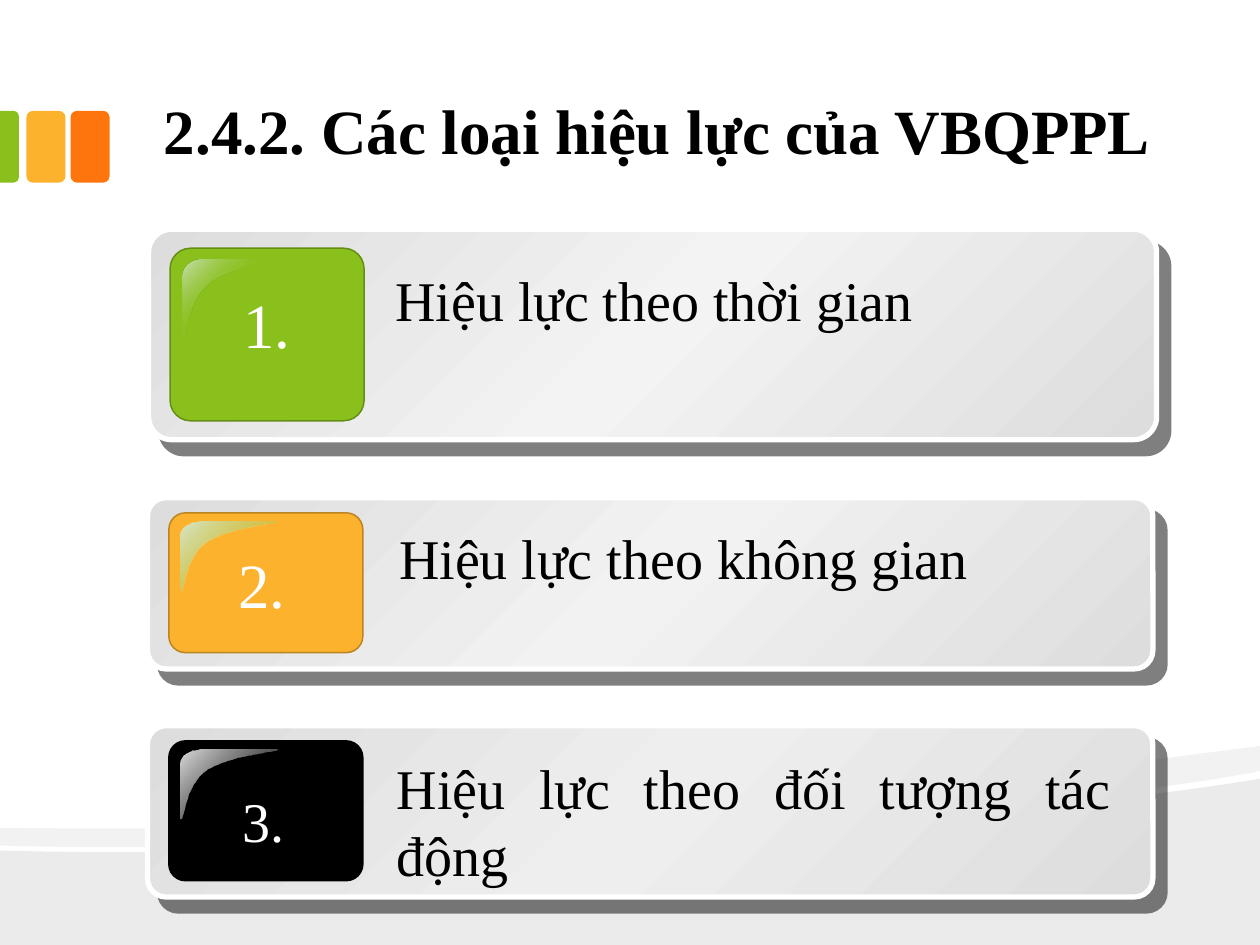
"""Build a slide listing three kinds of legal effect as numbered cards."""
from lxml import etree
from pptx import Presentation
from pptx import util as u
from pptx.dml.color import RGBColor
from pptx.enum import shapes, text
from pptx.oxml.ns import qn

FONT = "Times New Roman"
TITLE = "2.4.2. Các loại hiệu lực của VBQPPL"
LEFT, JUSTIFY, CENTER = text.PP_ALIGN.LEFT, text.PP_ALIGN.JUSTIFY, text.PP_ALIGN.CENTER
ROUND = shapes.MSO_SHAPE.ROUNDED_RECTANGLE

CARDS = [
    {"card": (1.18, 1.82, 8, 1.67), "middle": "F3F3F3",
     "badge": (1.35, 1.97, 1.54, 1.37), "fill": "89C01C", "line": "658E15",
     "gloss": (1.45, 2.06, 0.76, 0.68),
     "shine": [(0, "CAE0B6", 100), (50, "89C01C", 0), (100, "CAE0B6", 100)],
     "number": ("1.", 36, (1.83, 2.22, 0.58, 0.71)),
     "label": ("Hiệu lực theo thời gian", LEFT, (3.04, 2.06, 5.88, 0.64))},
    {"card": (1.17, 3.95, 7.98, 1.36), "middle": "F2F2F2",
     "badge": (1.34, 4.07, 1.54, 1.11), "fill": "FCB22C", "line": "BA8421",
     "gloss": (1.43, 4.14, 0.77, 0.56),
     "shine": [(0, "D7E7C9", 100), (100, "89C01C", 0)],
     "number": ("2.", 36, (1.79, 4.28, 0.58, 0.71)),
     "label": ("Hiệu lực theo không gian", JUSTIFY, (3.07, 4.11, 6.08, 0.64))},
    {"card": (1.17, 5.76, 7.98, 1.36), "middle": "EEEEEE",
     "badge": (1.34, 5.88, 1.54, 1.11), "fill": "000000", "line": "000000",
     "gloss": (1.43, 5.95, 0.77, 0.56),
     "shine": [(0, "DADADA", 100), (100, "A6A6A6", 0)],
     "number": ("3.", 32, (1.82, 6.19, 0.54, 0.64)),
     "label": ("Hiệu lực theo đối tượng tác động", JUSTIFY, (3.05, 5.93, 5.87, 1.18))},
]

WAVES = [
    (8, [[(10, 6.18)], [(10, 7.5)], [(0, 7.5)], [(0, 6.75)],
         [(2.64, 6.83), (7.82, 6.55), (10, 6.18)]]),
    (5, [[(10, 5.92)], [(10, 6.12)], [(9.42, 6.23), (8.62, 6.33), (7.72, 6.41)],
         [(5.23, 6.63), (1.93, 6.77), (0, 6.71)], [(0, 6.57)],
         [(4.89, 6.62), (7.28, 6.27), (10, 5.92)]]),
]
GLOSS = [[(0.2, 0)], [(0.09, 0), (0, 0.09), (0, 0.2)], [(0, 0.98)],
         [(0.05, 1), (0.03, 0.52), (0.27, 0.29)],
         [(0.52, 0.07), (1, 0.05), (1, 0)]]
TABS = [
    (ROUND, (0.56, 0.88, 0.31, 0.57), 0, "FE750E", [0.167]),
    (ROUND, (0.21, 0.88, 0.31, 0.57), 0, "FCB22C", [0.167]),
    (shapes.MSO_SHAPE.ROUND_2_SAME_RECTANGLE, (-0.21, 1.09, 0.57, 0.15), 90,
     "89C01C", [0.292, 0]),
]


def rgb(value):
    return RGBColor.from_string(value)


def inches(values):
    return [u.Inches(value) for value in values]


def add_color(parent, value, opacity):
    color = etree.SubElement(parent, qn("a:srgbClr"), val=value)
    if opacity < 100:
        etree.SubElement(color, qn("a:alpha"), val=str(opacity * 1000))


def solid(shape, value, opacity=100):
    shape.fill.solid()
    shape.fill.fore_color.rgb = rgb(value)
    if opacity < 100:
        color = shape._element.spPr.find(".//" + qn("a:srgbClr"))
        etree.SubElement(color, qn("a:alpha"), val=str(opacity * 1000))


def gradient(shape, stops):
    shape.fill.gradient()
    shape.fill.gradient_angle = 315
    stop_list = shape._element.spPr.find(".//" + qn("a:gsLst"))
    for old_stop in list(stop_list):
        stop_list.remove(old_stop)
    for position, value, opacity in stops:
        stop = etree.SubElement(stop_list, qn("a:gs"), pos=str(position * 1000))
        add_color(stop, value, opacity)


def outline(shape, value=None, width=0):
    shape.shadow.inherit = False
    if value is None:
        shape.line.fill.background()
    else:
        shape.line.color.rgb = rgb(value)
        shape.line.width = u.Pt(width)


def cast_shadow(shape):
    effects = shape._element.spPr.find(qn("a:effectLst"))
    shadow = etree.SubElement(effects, qn("a:outerShdw"), dist=str(u.Pt(10.6)),
                              dir=str(49 * 60000), algn="ctr", rotWithShape="0")
    add_color(shadow, "000000", 50)


def add_preset(slide, kind, box, adjustments):
    shape = slide.shapes.add_shape(kind, *inches(box))
    for index, value in enumerate(adjustments):
        shape.adjustments[index] = value
    return shape


def add_curve(slide, segments, box=(0, 0, 1, 1)):
    left, top, width, height = box
    placed = [[inches((left + x * width, top + y * height)) for x, y in segment]
              for segment in segments]
    builder = slide.shapes.build_freeform(*placed[0][0])
    builder.add_line_segments([segment[-1] for segment in placed[1:]], close=True)
    shape = builder.convert_to_shape()
    lines = shape._element.spPr.findall(".//" + qn("a:lnTo"))
    for line, segment in zip(lines, placed[1:]):
        if len(segment) == 3:
            curve = etree.Element(qn("a:cubicBezTo"))
            for x, y in segment:
                etree.SubElement(curve, qn("a:pt"), x=str(x - shape.left), y=str(y - shape.top))
            line.getparent().replace(line, curve)
    outline(shape)
    return shape


def add_text(slide, box, words, size, align, color="000000", bold=False, wrap=True):
    shape = slide.shapes.add_textbox(*inches(box))
    frame = shape.text_frame
    frame.word_wrap = wrap
    frame.auto_size = text.MSO_AUTO_SIZE.SHAPE_TO_FIT_TEXT
    paragraph = frame.paragraphs[0]
    paragraph.alignment = align
    run = paragraph.add_run()
    run.text = words
    run.font.name = FONT
    run.font.size = u.Pt(size)
    run.font.bold = bold
    run.font.color.rgb = rgb(color)
    return frame


def add_card(slide, item):
    card = add_preset(slide, ROUND, item["card"], [0.109])
    gradient(card, [(0, "DDDDDD", 100), (50, item["middle"], 100), (100, "DDDDDD", 100)])
    outline(card, "FFFFFF", 3)
    cast_shadow(card)
    badge = add_preset(slide, ROUND, item["badge"], [0.119])
    solid(badge, item["fill"])
    outline(badge, item["line"], 0.85)
    gradient(add_curve(slide, GLOSS, item["gloss"]), item["shine"])
    number, size, box = item["number"]
    add_text(slide, box, number, size, CENTER, "FFFFFF", wrap=False)
    label, align, box = item["label"]
    add_text(slide, box, label, 32, align)


def main():
    presentation = Presentation()
    presentation.slide_width, presentation.slide_height = inches((10, 7.5))
    slide = presentation.slides.add_slide(presentation.slide_layouts[6])
    for opacity, segments in WAVES:
        solid(add_curve(slide, segments), "000000", opacity)
    for kind, box, rotation, color, adjustments in TABS:
        tab = add_preset(slide, kind, box, adjustments)
        tab.rotation = rotation
        solid(tab, color)
        outline(tab)
    for item in CARDS:
        add_card(slide, item)
    frame = add_text(slide, (1.17, 0.33, 8.32, 1.07), TITLE, 36, JUSTIFY, bold=True)
    frame.auto_size = text.MSO_AUTO_SIZE.NONE
    frame.vertical_anchor = text.MSO_ANCHOR.BOTTOM
    frame.margin_left = frame.margin_right = u.Inches(0.13)
    frame.margin_top = frame.margin_bottom = u.Inches(0.07)
    presentation.save("out.pptx")


if __name__ == "__main__":
    main()
